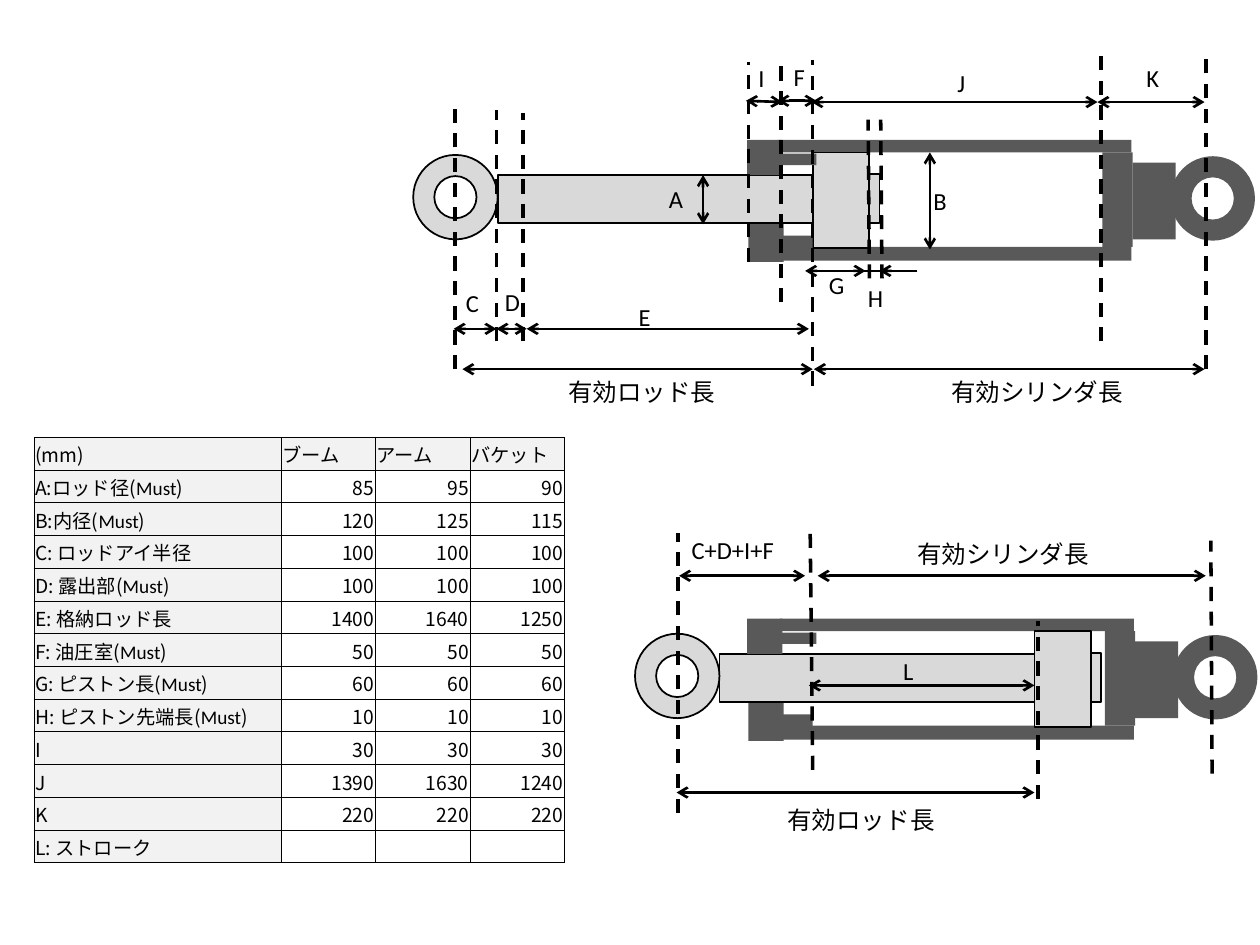
from lxml.etree import SubElement
from pptx import Presentation
from pptx.dml.color import RGBColor
from pptx.enum.dml import MSO_LINE
from pptx.enum.shapes import MSO_CONNECTOR, MSO_SHAPE
from pptx.enum.text import MSO_ANCHOR, MSO_AUTO_SIZE, PP_ALIGN
from pptx.oxml.ns import qn
from pptx.util import Inches, Pt

BLACK = RGBColor(0x00, 0x00, 0x00)
DARK = RGBColor(0x59, 0x59, 0x59)
LIGHT = RGBColor(0xD9, 0xD9, 0xD9)
PALE = RGBColor(0xF2, 0xF2, 0xF2)
LABEL_FONT, TABLE_FONT = "Calibri", "Noto Sans CJK JP"

# Table: name, whether it is a must, values for boom, arm and bucket
HEADER = ("(mm)", False, ("ブーム", "アーム", "バケット"))
DIMENSIONS = [
    ("A:ロッド径", True, (85, 95, 90)),
    ("B:内径", True, (120, 125, 115)),
    ("C: ロッドアイ半径", False, (100, 100, 100)),
    ("D: 露出部", True, (100, 100, 100)),
    ("E: 格納ロッド長", False, (1400, 1640, 1250)),
    ("F: 油圧室", True, (50, 50, 50)),
    ("G: ピストン長", True, (60, 60, 60)),
    ("H: ピストン先端長", True, (10, 10, 10)),
    ("I", False, (30, 30, 30)),
    ("J", False, (1390, 1630, 1240)),
    ("K", False, (220, 220, 220)),
    ("L: ストローク", False, ("", "", "")),
]
COLUMN_WIDTHS = (1.96, 0.75, 0.75, 0.75)
ROW_HEIGHT = 0.26

# Extended cylinder parts: left, top, width, height
RECTANGLE, DONUT = MSO_SHAPE.RECTANGLE, MSO_SHAPE.DONUT
ROD_PARTS = [
    (RECTANGLE, 3.95, 1.39, 2.51, 0.38),  # rod
    (DONUT, 3.28, 1.23, 0.67, 0.67),      # rod eye
    (RECTANGLE, 6.45, 1.21, 0.45, 0.76),  # piston
    (RECTANGLE, 6.90, 1.38, 0.08, 0.39),  # piston tip
]
CASE_PARTS = [
    (RECTANGLE, 8.75, 1.21, 0.24, 0.75),  # end cap
    (RECTANGLE, 8.99, 1.29, 0.34, 0.61),  # neck
    (DONUT, 9.29, 1.24, 0.67, 0.67),      # case eye
    (RECTANGLE, 6.17, 1.11, 2.81, 0.10),  # upper wall
    (RECTANGLE, 6.17, 1.96, 2.81, 0.11),  # lower wall
]
GLAND_PARTS = [
    (RECTANGLE, 6.20, 1.22, 0.28, 0.09),
    (RECTANGLE, 6.18, 1.87, 0.27, 0.10),
    (RECTANGLE, 5.93, 1.11, 0.28, 0.28),
    (RECTANGLE, 5.94, 1.78, 0.28, 0.30),
]
# Shifts of rod, case and whole drawing: extended, then retracted
CYLINDERS = [(0, 0, 0), (1.76, 0.02, 3.80)]

# Lines: x1, y1, x2, y2
GUIDES = [
    (3.61, 2.93, 3.61, 0.81), (3.94, 2.71, 3.94, 0.87), (4.15, 2.71, 4.15, 0.90),
    (5.94, 2.08, 5.94, 0.49), (6.20, 2.40, 6.20, 0.49), (6.45, 3.06, 6.45, 0.48),
    (6.90, 2.21, 6.89, 0.95), (7.00, 2.21, 6.99, 0.95), (8.74, 2.71, 8.74, 0.44),
    (9.57, 2.93, 9.57, 0.44),
    (5.38, 6.45, 5.38, 4.23), (6.45, 6.11, 6.43, 4.21), (8.24, 6.34, 8.24, 4.93),
    (9.62, 6.14, 9.61, 4.29),
]
DOUBLE_ARROWS = [
    (5.58, 1.39, 5.58, 1.78), (7.38, 1.98, 7.38, 1.21), (6.68, 1.23, 6.68, 1.97),  # A, B
    (3.60, 2.61, 3.94, 2.61), (3.94, 2.61, 4.18, 2.61), (4.18, 2.61, 6.42, 2.61),  # C, D, E
    (6.17, 0.80, 6.48, 0.80), (6.87, 2.15, 6.39, 2.15), (6.21, 0.81, 5.92, 0.80),  # F, G, I
    (8.71, 0.81, 6.44, 0.81), (9.56, 0.81, 8.71, 0.81),                            # J, K
    (3.67, 2.93, 6.45, 2.93), (6.46, 2.93, 9.56, 2.93),
    (5.37, 6.29, 8.21, 6.29), (6.49, 4.57, 9.57, 4.57),
    (6.42, 5.44, 8.21, 5.44), (5.39, 4.57, 6.39, 4.57),
]
# The rod hides the bore arrow here
DOUBLE_ARROWS.remove((6.68, 1.23, 6.68, 1.97))
SINGLE_ARROW = (7.28, 2.15, 6.98, 2.15)
PLAIN_LINE = (7.14, 2.15, 6.84, 2.15)

# Labels: text, left, top, width
LABELS = [
    ("A", 5.21, 1.41, 0.37), ("B", 7.31, 1.43, 0.63), ("C", 3.60, 2.24, 0.33),
    ("D", 3.91, 2.23, 0.33), ("E", 4.97, 2.35, 0.27), ("F", 6.20, 0.44, 0.39),
    ("G", 6.48, 2.09, 0.36), ("H", 6.79, 2.20, 0.36), ("I", 5.92, 0.45, 0.37),
    ("J", 7.50, 0.49, 0.37), ("K", 9.00, 0.45, 0.37), ("L", 7.07, 5.16, 0.27),
    ("有効ロッド長", 4.41, 2.94, 1.68), ("有効シリンダ長", 7.45, 2.94, 1.68),
    ("有効ロッド長", 6.15, 6.34, 1.68), ("有効シリンダ長", 7.18, 4.23, 1.68),
    ("C+D+I+F", 5.39, 4.20, 1.68),
]


def add_parts(slide, parts, fill, outlined, dx, dy):
    for kind, left, top, width, height in parts:
        shape = slide.shapes.add_shape(kind, Inches(left + dx), Inches(top + dy),
                                       Inches(width), Inches(height))
        shape.shadow.inherit = False
        shape.fill.solid()
        shape.fill.fore_color.rgb = fill
        if outlined:
            shape.line.color.rgb = BLACK
            shape.line.width = Pt(1)
        else:
            shape.line.fill.background()


def add_line(slide, ends, width=1.5, dashed=False, arrows=()):
    line = slide.shapes.add_connector(MSO_CONNECTOR.STRAIGHT, *map(Inches, ends))
    line.line.color.rgb = BLACK
    line.line.width = Pt(width)
    if dashed:
        line.line.dash_style = MSO_LINE.DASH
    for end in arrows:
        SubElement(line.line._get_or_add_ln(), qn(f"a:{end}"), type="arrow")
    SubElement(line._element.spPr, qn("a:effectLst"))


def add_label(slide, text, left, top, width):
    box = slide.shapes.add_textbox(Inches(left), Inches(top), Inches(width), Inches(0.34))
    frame = box.text_frame
    frame.word_wrap = True
    frame.auto_size = MSO_AUTO_SIZE.SHAPE_TO_FIT_TEXT
    paragraph = frame.paragraphs[0]
    paragraph.text = text
    paragraph.font.size = Pt(14)
    paragraph.font.name = LABEL_FONT
    paragraph.font.color.rgb = BLACK


def fill_cell(cell, runs, shaded, align):
    cell.margin_left = cell.margin_right = cell.margin_top = Inches(0.01)
    cell.margin_bottom = 0
    cell.vertical_anchor = MSO_ANCHOR.MIDDLE
    properties = cell._tc.get_or_add_tcPr()
    for side in ("lnL", "lnR", "lnT", "lnB"):
        border = SubElement(properties, qn(f"a:{side}"), w=str(Pt(0.5)))
        color = SubElement(border, qn("a:solidFill"))
        SubElement(color, qn("a:srgbClr"), val=str(BLACK))
    if shaded:
        cell.fill.solid()
        cell.fill.fore_color.rgb = PALE
    else:
        cell.fill.background()
    paragraph = cell.text_frame.paragraphs[0]
    paragraph.alignment = align
    for text, font in runs:
        run = paragraph.add_run()
        run.text = text
        run.font.name = font
        run.font.size = Pt(11)
        run.font.color.rgb = BLACK
    if not runs:
        SubElement(paragraph._p, qn("a:endParaRPr"), sz="1100")


def add_dimension_table(slide):
    rows = [HEADER] + DIMENSIONS
    table = slide.shapes.add_table(len(rows), len(COLUMN_WIDTHS), Inches(0.27), Inches(3.47),
                                   Inches(sum(COLUMN_WIDTHS)),
                                   Inches(ROW_HEIGHT * len(rows))).table
    table.first_row = table.horz_banding = False
    for column, width in zip(table.columns, COLUMN_WIDTHS):
        column.width = Inches(width)
    for i, (name, must, values) in enumerate(rows):
        table.rows[i].height = Inches(ROW_HEIGHT)
        runs = [(name, TABLE_FONT)]
        if must:
            runs = [(name + "(", TABLE_FONT), ("Must", LABEL_FONT), (")", TABLE_FONT)]
        fill_cell(table.cell(i, 0), runs, True, PP_ALIGN.LEFT)
        for j, value in enumerate(values, 1):
            runs = [(str(value), TABLE_FONT)] if value != "" else []
            fill_cell(table.cell(i, j), runs, i == 0, PP_ALIGN.RIGHT if i else PP_ALIGN.LEFT)


def main():
    presentation = Presentation()
    presentation.slide_width, presentation.slide_height = Inches(10), Inches(7.5)
    slide = presentation.slides.add_slide(presentation.slide_layouts[6])
    # Cylinders
    for rod_shift, case_shift, drop in CYLINDERS:
        add_parts(slide, CASE_PARTS, DARK, False, case_shift, drop)
        add_parts(slide, ROD_PARTS, LIGHT, True, rod_shift, drop)
        add_parts(slide, GLAND_PARTS, DARK, False, 0, drop)
    add_dimension_table(slide)
    # Guides, dimension arrows and labels
    for ends in GUIDES:
        add_line(slide, ends, width=2, dashed=True)
    for ends in DOUBLE_ARROWS:
        add_line(slide, ends, arrows=("headEnd", "tailEnd"))
    add_line(slide, SINGLE_ARROW, arrows=("tailEnd",))
    add_line(slide, PLAIN_LINE)
    for label in LABELS:
        add_label(slide, *label)
    presentation.save("out.pptx")


if __name__ == "__main__":
    main()
